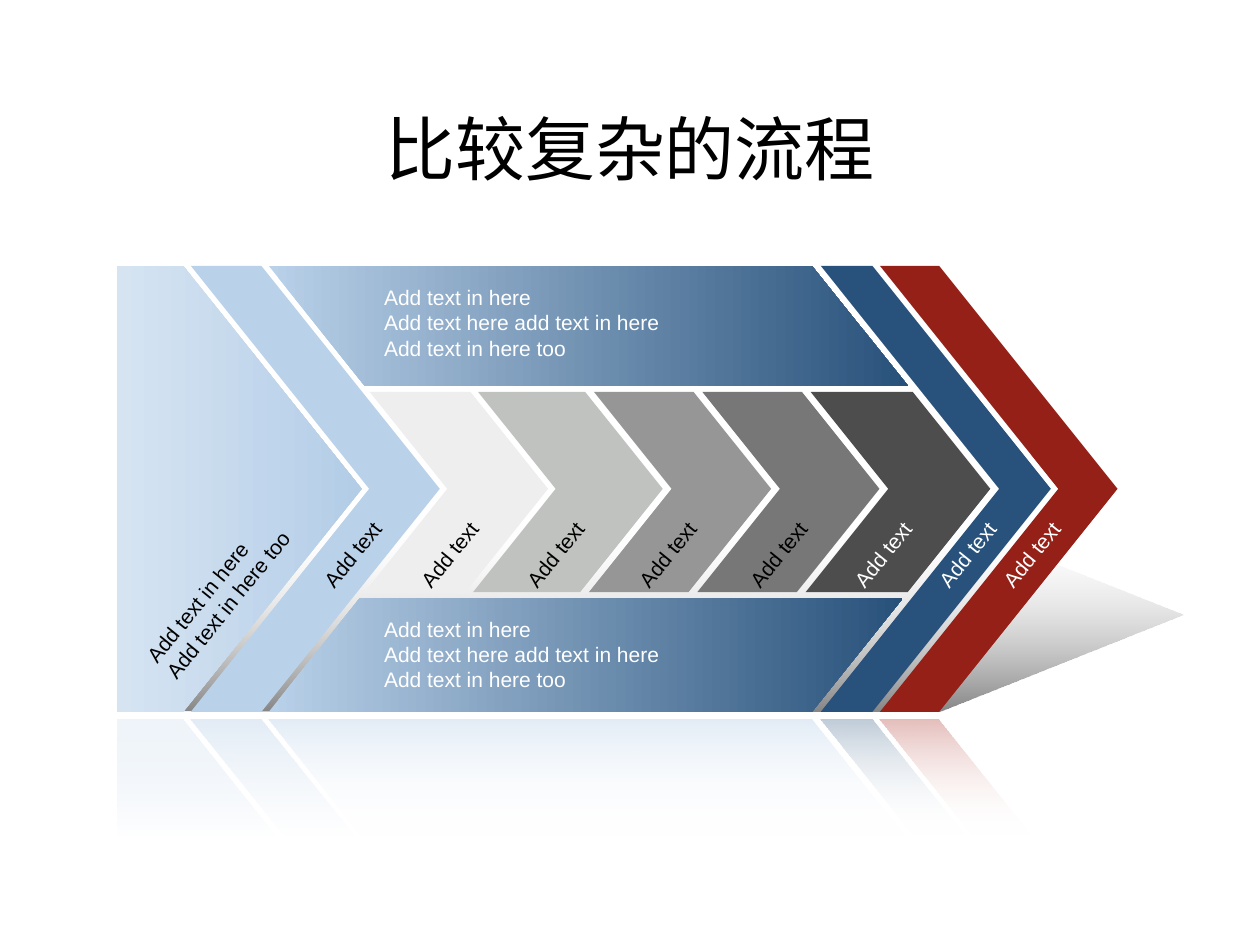
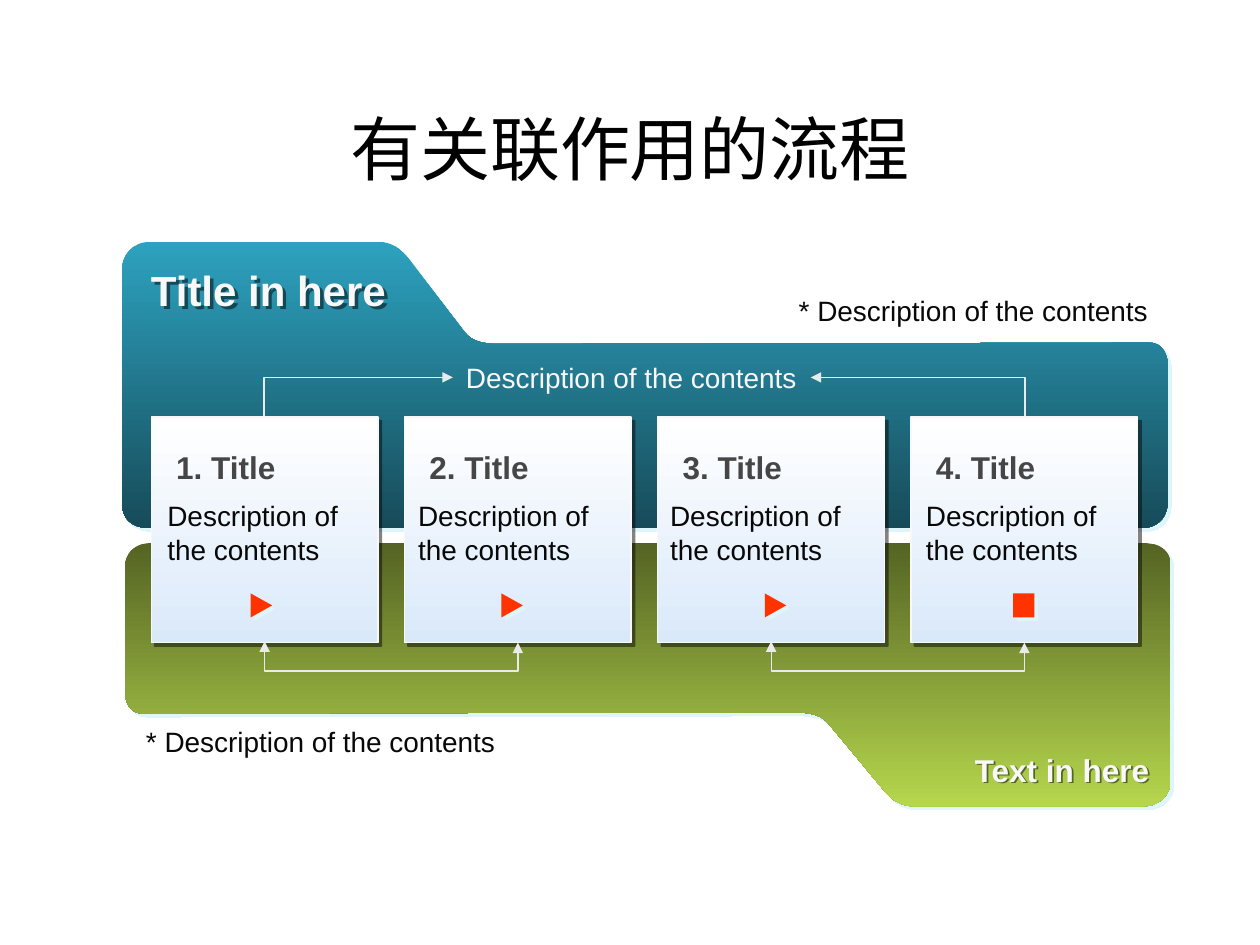
"""Build two process slides: a chevron flow and a pair of linked folder panels."""
import dataclasses
import typing

import lxml.etree
import pptx
import pptx.dml.color
import pptx.enum.shapes
import pptx.enum.text
import pptx.oxml.ns
import pptx.util

Inches = pptx.util.Inches
qn = pptx.oxml.ns.qn
Point = tuple[float, float]

WHITE, BLACK, INK, SNOW = "FFFFFF", "000000", "080808", "F8F8F8"
GLOW, GRAPHITE, WIRE, SIGNAL = "DEF5FA", "464646", "EAEAEA", "FF3300"
ICE, SKY, PALE, NAVY, RED = "D6E4F2", "B3CDE7", "B9D1E9", "28527C", "952017"
DOWN, ACROSS = 270, 0

SLOPE, LEFT_EDGE = 0.8, 0.93
ARROW_TOP, ARROW_MIDDLE, ARROW_BOTTOM = 2.11, 3.88, 5.65
MIRROR_TOP, MIRROR_BOTTOM = 5.71, 6.63
CORE_TOP, CORE_BOTTOM = 3.11, 4.70
CARD_TOP, CARD_SIZE, CARD_STEP = 3.31, (1.8, 1.79), 2.01

FOLDER_CORNERS = (
    ((3.91, 2.73), (3.82, 2.72), (3.75, 2.71), (3.69, 2.64)),
    ((3.3, 2.13), (3.23, 2.04), (3.16, 1.91), (2.98, 1.92)),
    ((1.19, 1.92), (1.05, 1.92), (0.96, 2.03), (0.97, 2.16)),
    ((0.97, 3.98), (0.96, 4.21), (1.19, 4.19), (1.19, 4.19)),
    ((9.04, 4.19), (9.04, 4.19), (9.28, 4.22), (9.27, 3.94)),
    ((9.27, 2.92), (9.27, 2.92), (9.28, 2.72), (9.12, 2.72)),
)


@dataclasses.dataclass(frozen=True)
class Gradient:
    start: str
    end: str
    angle: int = DOWN
    start_opacity: int = 100
    end_opacity: int = 100


@dataclasses.dataclass(frozen=True)
class Band:
    back: float | None
    front: float
    fill: str | Gradient
    top: float = ARROW_TOP
    bottom: float = ARROW_BOTTOM
    reflection: Gradient | None = None


@dataclasses.dataclass(frozen=True)
class Label:
    lines: tuple[str, ...]
    box: tuple[float, float, float, float]
    size: int = 12
    color: str = BLACK
    bold: bool = False
    align: str = "LEFT"
    rotation: int = 0
    wrap: bool = True
    shadow: float = 0


@dataclasses.dataclass(frozen=True)
class Card:
    body_left: float
    marker_left: float
    marker: str = "ISOSCELES_TRIANGLE"


@dataclasses.dataclass(frozen=True)
class Link:
    box: tuple[float, float, float, float]
    rotation: int
    flipped: bool
    preset: str
    ends: tuple[str, ...] = ("tailEnd",)
    bend: int | None = None


def rgb(code: str) -> pptx.dml.color.RGBColor:
    return pptx.dml.color.RGBColor.from_string(code)


def add_child(parent: typing.Any, tag: str, **values: object) -> typing.Any:
    child = lxml.etree.SubElement(parent, qn(tag))
    for key, value in values.items():
        child.set(key, str(value))
    return child


def add_shadow(shape: typing.Any, color: str, opacity: int, distance: float = 2.8) -> None:
    shape.shadow.inherit = False
    effects = shape._element.spPr.find(qn("a:effectLst"))
    shadow = add_child(effects, "a:outerShdw", dist=pptx.util.Pt(distance), dir=45 * 60000,
                       algn="ctr", rotWithShape=0)
    add_child(add_child(shadow, "a:srgbClr", val=color), "a:alpha", val=opacity * 1000)


def paint(shape: typing.Any, fill: str | Gradient, line: str | None = None,
          shadow: tuple[str, int] | None = None) -> None:
    if isinstance(fill, Gradient):
        shape.fill.gradient()
        shape.fill.gradient_angle = fill.angle
        stops = zip(shape.fill.gradient_stops, (fill.start, fill.end), (0, 1))
        for stop, color, position in stops:
            stop.color.rgb, stop.position = rgb(color), position
        opacities = (fill.start_opacity, fill.end_opacity)
        for color, opacity in zip(shape._element.xpath(".//a:gs/a:srgbClr"), opacities):
            if opacity < 100:
                add_child(color, "a:alpha", val=opacity * 1000)
    else:
        shape.fill.solid()
        shape.fill.fore_color.rgb = rgb(fill)
    if line:
        shape.line.color.rgb, shape.line.width = rgb(line), pptx.util.Pt(0.75)
    else:
        shape.line.fill.background()
    shape.shadow.inherit = False
    if shadow:
        add_shadow(shape, *shadow)


def add_outline(shapes: typing.Any, points: list[Point]) -> typing.Any:
    corners = [(Inches(x), Inches(y)) for x, y in points]
    builder = shapes.build_freeform(*corners[0])
    builder.add_line_segments(corners[1:], close=True)
    return builder.convert_to_shape()


def add_folder(shapes: typing.Any, points: list[Point], fill: Gradient) -> None:
    panel = add_outline(shapes, points)
    segments = panel._element.xpath(".//a:moveTo | .//a:lnTo")
    for first in range(1, len(segments), 4):
        bend = lxml.etree.Element(qn("a:cubicBezTo"))
        segments[first].addprevious(bend)
        for segment in segments[first:first + 3]:
            bend.append(segment[0])
            segment.getparent().remove(segment)
    paint(panel, fill, shadow=(GLOW, 100))


def style(span: typing.Any, **values: typing.Any) -> None:
    span.font.color.rgb = rgb(values.pop("color"))
    for key, value in values.items():
        setattr(span.font, key, value)


def add_label(shapes: typing.Any, label: Label) -> None:
    box = shapes.add_textbox(*map(Inches, label.box))
    box.rotation = label.rotation
    if label.shadow:
        add_shadow(box, BLACK, 50, label.shadow)
    frame = box.text_frame
    frame.word_wrap = label.wrap
    frame.auto_size = pptx.enum.text.MSO_AUTO_SIZE.SHAPE_TO_FIT_TEXT
    for index, line in enumerate(label.lines):
        para = frame.add_paragraph() if index else frame.paragraphs[0]
        para.alignment = pptx.enum.text.PP_ALIGN[label.align]
        span = para.add_run()
        span.text = line
        style(span, name="Arial", size=pptx.util.Pt(label.size), bold=label.bold,
              color=label.color)


def add_page(deck: typing.Any, title: str) -> typing.Any:
    page = deck.slides.add_slide(deck.slide_layouts[5])
    box = page.shapes.title
    frame = {"left": 0.5, "top": 0.78, "width": 9, "height": 0.78}
    for key, value in frame.items():
        setattr(box, key, Inches(value))
    box.text_frame.vertical_anchor = pptx.enum.text.MSO_ANCHOR.MIDDLE
    para = box.text_frame.paragraphs[0]
    para.alignment = pptx.enum.text.PP_ALIGN.CENTER
    span = para.add_run()
    span.text = title
    style(span, name="Calibri", size=pptx.util.Pt(40), color=BLACK)
    return page


def edge(apex: float | None, y: float) -> Point:
    return (LEFT_EDGE if apex is None else apex - SLOPE * abs(y - ARROW_MIDDLE), y)


def add_band(shapes: typing.Any, band: Band) -> None:
    levels = [band.top, band.bottom]
    if band.top < ARROW_MIDDLE < band.bottom:
        levels.insert(1, ARROW_MIDDLE)
    front = [edge(band.front, y) for y in levels]
    back_levels = levels[::-2] if band.back is None else levels[::-1]
    back = [edge(band.back, y) for y in back_levels]
    paint(add_outline(shapes, front + back), band.fill)


def add_reflection(shapes: typing.Any, band: Band) -> None:
    drift = SLOPE * (MIRROR_BOTTOM - MIRROR_TOP)
    left, right = edge(band.back, ARROW_BOTTOM)[0], edge(band.front, ARROW_BOTTOM)[0]
    low_left = left if band.back is None else left + drift
    paint(add_outline(shapes, [(left, MIRROR_TOP), (right, MIRROR_TOP),
                               (right + drift, MIRROR_BOTTOM), (low_left, MIRROR_BOTTOM)]),
          band.reflection)


def build_chevron_page(deck: typing.Any) -> None:
    shapes = add_page(deck, "比较复杂的流程").shapes.add_group_shape().shapes
    ground = [(7.52, 4.14), (0.93, 4.15), (0.94, 5.64), (7.45, 5.65), (9.39, 4.88)]
    paint(add_outline(shapes, ground), Gradient(WHITE, BLACK, DOWN, 0, 48))

    bar = Gradient(PALE, "28517A", ACROSS)
    core = ((3.55, 4.35, "EEEEEE"), (4.41, 5.26, "BFC2BE"), (5.33, 6.12, "969696"),
            (6.19, 6.98, "777777"), (7.05, 7.86, "4D4D4D"))
    bands = [
        Band(None, 2.87, Gradient(ICE, SKY, ACROSS), reflection=Gradient(ICE, SKY, DOWN, 40, 0)),
        Band(8.4, 8.87, RED, reflection=Gradient("A6241A", WHITE, DOWN, 30, 0)),
        Band(7.93, 8.34, NAVY, reflection=Gradient(NAVY, WHITE, DOWN, 30, 0)),
        *(Band(back, front, color, CORE_TOP, CORE_BOTTOM) for back, front, color in core),
        Band(3.55, 7.86, bar, top=4.75, reflection=Gradient(PALE, WHITE, DOWN, 40, 0)),
        Band(3.55, 7.86, bar, bottom=3.06),
        Band(2.93, 3.49, PALE, reflection=Gradient(PALE, "C8DBEE", DOWN, 40, 0)),
    ]
    for band in bands:
        add_band(shapes, band)
    for band in bands:
        if band.reflection:
            add_reflection(shapes, band)

    add_label(shapes, Label(("Add text in here", "Add text in here too"),
                            (0.83, 4.31, 2.09, 0.51), rotation=309))
    bar_lines = ("Add text in here", "Add text here add text in here", "Add text in here too")
    for top in (2.21, 4.84):
        add_label(shapes, Label(bar_lines, (2.95, top, 3.33, 0.71), color=WHITE))
    for left in (2.34, 3.11, 3.95, 4.84, 5.72, 6.55, 7.22, 7.73):
        add_label(shapes, Label(("Add text",), (left, 4.14, 1.09, 0.3), rotation=309,
                                color=WHITE if left > 6 else BLACK))


def add_link(shapes: typing.Any, link: Link) -> None:
    left, top, width, height = link.box
    line = shapes.add_connector(pptx.enum.shapes.MSO_CONNECTOR.ELBOW, Inches(left), Inches(top),
                                Inches(left + width), Inches(top + height))
    line.line.color.rgb, line.line.width = rgb(WIRE), pptx.util.Pt(0.75)
    properties = line._element.spPr
    transform = properties.find(qn("a:xfrm"))
    transform.set("rot", str(link.rotation * 60000))
    if link.flipped:
        transform.set("flipH", "1")
    geometry = properties.find(qn("a:prstGeom"))
    geometry.set("prst", link.preset)
    if link.bend:
        add_child(geometry.find(qn("a:avLst")), "a:gd", name="adj1",
                  fmla=f"val {link.bend * 100000}")
    for end in link.ends:
        add_child(properties.find(qn("a:ln")), f"a:{end}", type="triangle")
    add_child(properties, "a:effectLst")


def add_card(shapes: typing.Any, number: int, card: Card) -> None:
    kinds = pptx.enum.shapes.MSO_SHAPE
    left = 1.2 + CARD_STEP * (number - 1)
    sheet = shapes.add_shape(kinds.RECTANGLE, *map(Inches, (left, CARD_TOP, *CARD_SIZE)))
    paint(sheet, Gradient(WHITE, "DAE9FA"), SNOW, (INK, 50))
    add_label(shapes, Label((f"{number}. Title",), (left + 0.1, 3.51, 0.99, 0.4), 18,
                            GRAPHITE, bold=True, wrap=False))
    add_label(shapes, Label(("Description of the contents",),
                            (card.body_left, 3.91, 1.79, 0.64), 16, INK))
    marker = shapes.add_shape(kinds[card.marker],
                              *map(Inches, (card.marker_left, 4.72, 0.19, 0.17)))
    marker.rotation = 90
    paint(marker, SIGNAL, shadow=(GLOW, 100))


def build_folder_page(deck: typing.Any) -> None:
    shapes = add_page(deck, "有关联作用的流程").shapes
    folder = [point for corner in FOLDER_CORNERS for point in corner]
    turned = [(10.26 - x, 6.4 - 0.92 * (y - 1.92)) for x, y in folder]
    add_folder(shapes, turned, Gradient("536223", "B6D74D"))
    add_folder(shapes, folder, Gradient("2DA2BF", "164A58"))

    cards = (Card(1.23, 1.98), Card(3.22, 3.97), Card(5.22, 6.06), Card(7.25, 8.03, "RECTANGLE"))
    for number, card in enumerate(cards, 1):
        add_card(shapes, number, card)

    both = ("headEnd", "tailEnd")
    for link in (
        Link((2.69, 2.4, 0.31, 1.5), 270, False, "bentConnector2"),
        Link((7.13, 2.3, 0.31, 1.7), 90, True, "bentConnector2"),
        *(Link((left, 4.09, 0.01, CARD_STEP), 270, True, "bentConnector3", both, 24)
          for left in (3.1, 7.12)),
    ):
        add_link(shapes, link)

    note = ("* Description of the contents",)
    for label in (
        Label(("Title in here",), (1.1, 2.05, 2.43, 0.5), 24, SNOW, bold=True, shadow=2.8),
        Label(("Text in here",), (6.79, 5.91, 2.43, 0.4), 18, SNOW, bold=True,
              align="RIGHT", shadow=1.4),
        Label(("Description of the contents",), (3.6, 2.81, 2.83, 0.37), 16, SNOW, wrap=False),
        Label(note, (6.23, 2.28, 2.98, 0.37), 16, INK, align="RIGHT", wrap=False),
        Label(note, (1.06, 5.7, 2.98, 0.37), 16, INK),
    ):
        add_label(shapes, label)


def main() -> None:
    deck = pptx.Presentation()
    deck.slide_width, deck.slide_height = Inches(10), Inches(7.5)
    build_chevron_page(deck)
    build_folder_page(deck)
    deck.save("out.pptx")


if __name__ == "__main__":
    main()
